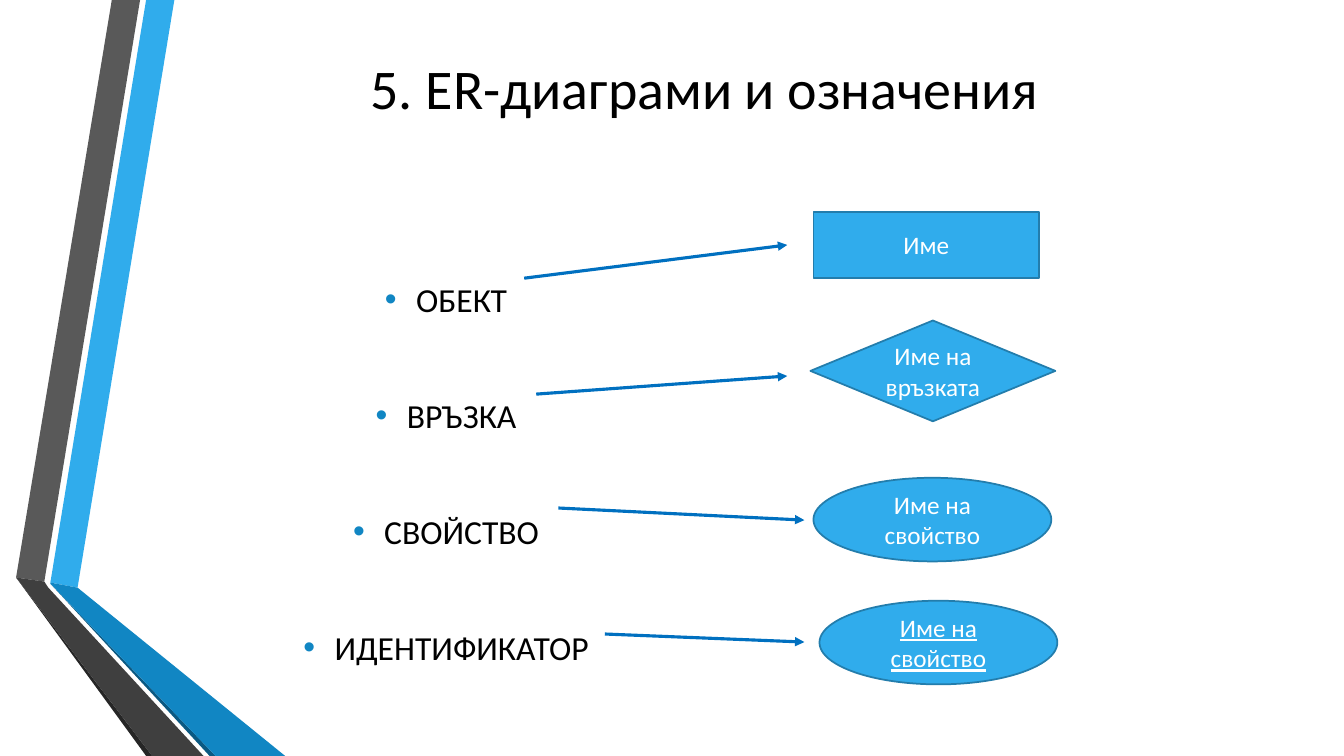
import pptx
import pptx.dml.color
import pptx.enum.shapes
import pptx.enum.text
import pptx.oxml
import pptx.oxml.ns
import pptx.util

CELL = pptx.util.Inches(0.1)
COLS, ROWS = 133.33, 75
FONT = "Calibri"
BLUE, EDGE, ARROW, BULLET = "30ACEC", "237DAC", "0070C0", "1186C3"
SHAPE = pptx.enum.shapes.MSO_SHAPE
ALIGN = pptx.enum.text.PP_ALIGN
MIDDLE = pptx.enum.text.MSO_ANCHOR.MIDDLE

BANDS = [
    (BLUE, [(5, 57.8), (7.7, 58.3), (17.3, 0), (14.5, 0)]),
    ("595959", [(13.9, 0), (11.1, 0), (1.6, 57.3), (4.4, 57.7)]),
    ("262626", [(1.6, 57.3), (14.5, ROWS), (15.1, ROWS)]),
    ("0B5982", [(5, 57.9), (20.8, ROWS), (21.4, ROWS)]),
    (BULLET, [(5, 57.9), (21.4, ROWS), (28.3, ROWS), (7.7, 58.3), (5, 57.8)]),
    ("3F3F3F", [(20.2, ROWS), (4.8, 58.3), (4.4, 57.7), (1.6, 57.3), (15.1, ROWS)]),
]

NOTATION = [
    ("ОБЕКТ", "Име", SHAPE.RECTANGLE, (80.7, 21, 22.4, 6.6), (52, 27.6, 78.1, 24.3), False),
    ("ВРЪЗКА", "Име на връзката", SHAPE.DIAMOND, (80.4, 31.8, 24.3, 10), (53.2, 39.1, 78.1, 37.3), False),
    ("СВОЙСТВО", "Име на свойство", SHAPE.OVAL, (80.7, 47.4, 23.6, 8.3), (55.4, 50.4, 79.8, 51.6), False),
    ("ИДЕНТИФИКАТОР", "Име на свойство", SHAPE.OVAL, (81.3, 59.6, 23.6, 8.3), (60, 62.9, 79.8, 63.7), True),
]


def grid(*cells):
    """Turn grid cells into lengths."""
    return [round(n * CELL) for n in cells]


def rgb(value):
    """Turn a hex string into a colour."""
    return pptx.dml.color.RGBColor.from_string(value)


def set_attrs(obj, values):
    """Set attributes of an object from a dict."""
    for name, value in values.items():
        setattr(obj, name, value)


def write(p, text, size, color, **font):
    """Write one centred run into a paragraph."""
    p.alignment = ALIGN.CENTER
    r = p.add_run()
    r.text = text
    set_attrs(r.font, {"name": FONT, "size": pptx.util.Pt(size), **font})
    r.font.color.rgb = rgb(color)


def add_band(s, color, points):
    """Draw one filled strip of the folded ribbon."""
    first, *rest = [grid(*point) for point in points]
    builder = s.shapes.build_freeform(*first, scale=1.0)
    builder.add_line_segments(rest, close=True)
    sp = builder.convert_to_shape()
    sp.shadow.inherit = False
    sp.fill.solid()
    sp.fill.fore_color.rgb = rgb(color)
    sp.line.fill.background()


def add_title(s, text):
    """Place and fill the title placeholder."""
    sp = s.shapes.title
    set_attrs(sp, dict(zip(("left", "top", "width", "height"), grid(15.1, 2.2, 109.6, 12.9))))
    set_attrs(sp.text_frame, {"vertical_anchor": MIDDLE, "word_wrap": True})
    write(sp.text_frame.paragraphs[0], text, 40, "000000")


def add_bullet(p):
    """Give a paragraph a hanging coloured bullet."""
    pPr = p._p.get_or_add_pPr()
    pPr.set("marL", str(grid(3.1)[0]))
    pPr.set("indent", str(grid(-3.1)[0]))
    ns = pptx.oxml.ns.nsdecls("a")
    for xml in (f'<a:buClr {ns}><a:srgbClr val="{BULLET}"/></a:buClr>',
                f'<a:buFont {ns} typeface="Arial"/>',
                f'<a:buChar {ns} char="•"/>'):
        pPr.append(pptx.oxml.parse_xml(xml))


def add_terms(s, terms):
    """Add the bulleted list of terms."""
    tf = s.shapes.add_textbox(*grid(18.9, 18.6, 50.7, 54.6)).text_frame
    set_attrs(tf, {"word_wrap": True, "vertical_anchor": MIDDLE,
                   "margin_bottom": grid(4.5)[0]})
    for i, term in enumerate(terms):
        p = tf.add_paragraph() if i else tf.paragraphs[0]
        set_attrs(p, {"line_spacing": pptx.util.Pt(72),
                      "space_before": pptx.util.Pt(10.8 if i else 0)})
        write(p, term, 24, "000000")
        add_bullet(p)


def add_symbol(s, kind, box, text, underline):
    """Add one diagram symbol with its caption."""
    sp = s.shapes.add_shape(kind, *grid(*box))
    sp.shadow.inherit = False
    sp.fill.solid()
    sp.fill.fore_color.rgb = rgb(BLUE)
    sp.line.color.rgb = rgb(EDGE)
    sp.line.width = pptx.util.Pt(1.25)
    set_attrs(sp.text_frame, {"word_wrap": True, "vertical_anchor": MIDDLE})
    write(sp.text_frame.paragraphs[0], text, 18, "FFFFFF", underline=underline)


def add_arrow(s, ends):
    """Add an arrow from a term towards its symbol."""
    line = s.shapes.add_connector(pptx.enum.shapes.MSO_CONNECTOR.STRAIGHT, *grid(*ends))
    line.line.color.rgb = rgb(ARROW)
    line.line.width = pptx.util.Pt(2.25)
    ns = pptx.oxml.ns.nsdecls("a")
    line.line._get_or_add_ln().append(pptx.oxml.parse_xml(f'<a:tailEnd {ns} type="triangle"/>'))
    line._element.spPr.append(pptx.oxml.parse_xml(f"<a:effectLst {ns}/>"))


def main():
    """Build the slide and save it."""
    prs = pptx.Presentation()
    prs.slide_width, prs.slide_height = grid(COLS, ROWS)
    s = prs.slides.add_slide(prs.slide_layouts.get_by_name("Title Only"))
    for color, points in BANDS:
        add_band(s, color, points)
    add_title(s, "5. ER-диаграми и означения")
    add_terms(s, [row[0] for row in NOTATION])
    for _, caption, kind, box, _, underline in NOTATION:
        add_symbol(s, kind, box, caption, underline)
    for *_, ends, _ in NOTATION:
        add_arrow(s, ends)
    prs.save("out.pptx")


if __name__ == "__main__":
    main()
